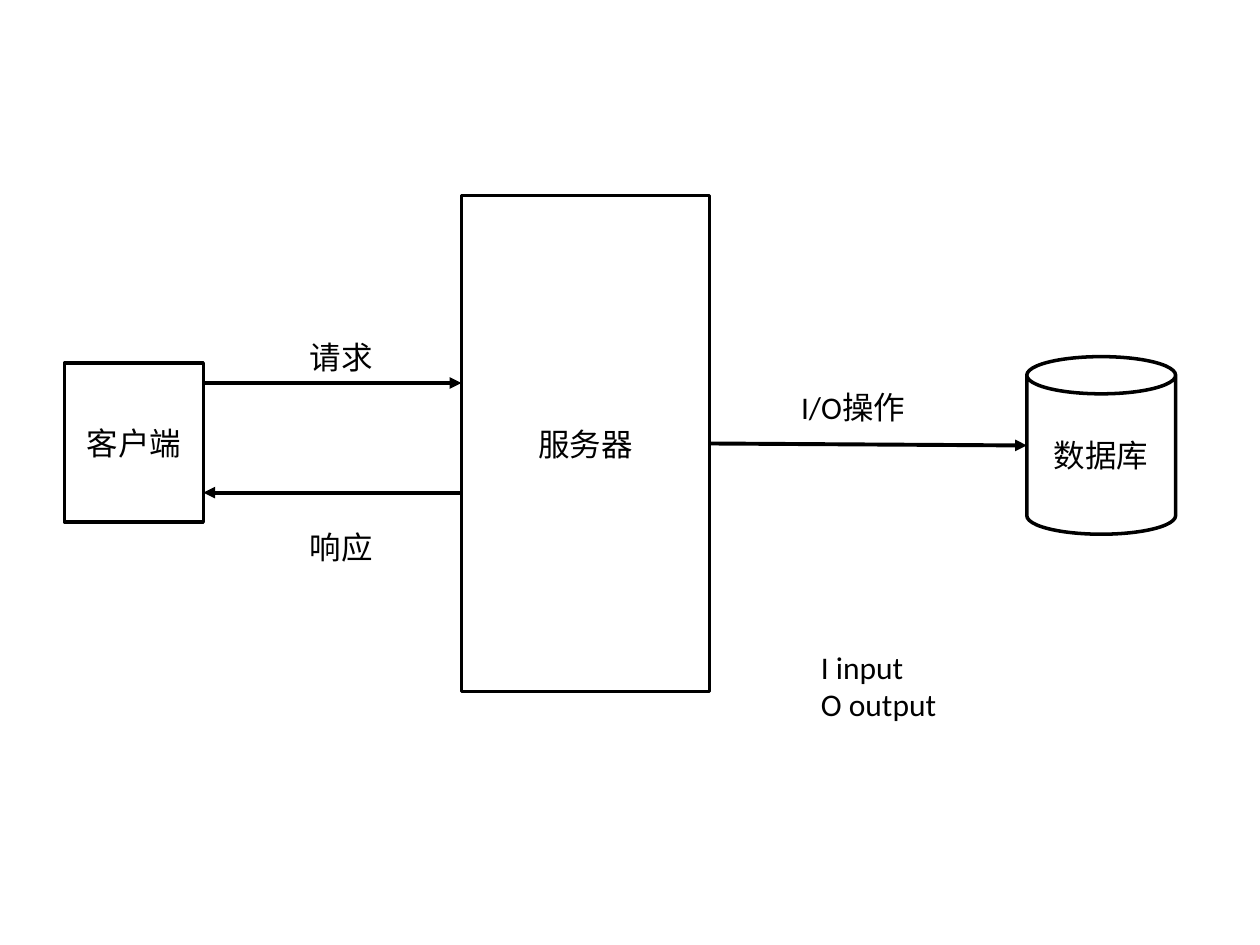
"""Build a slide showing a client, a server and a database exchanging data."""
from lxml import etree
from pptx import Presentation
from pptx.dml.color import RGBColor
from pptx.enum.shapes import MSO_CONNECTOR, MSO_SHAPE
from pptx.enum.text import MSO_ANCHOR, MSO_AUTO_SIZE, PP_ALIGN
from pptx.oxml.ns import qn
from pptx.util import Cm, Pt

RECTANGLE, CAN = MSO_SHAPE.RECTANGLE, MSO_SHAPE.CAN
STRAIGHT = MSO_CONNECTOR.STRAIGHT
CENTER, LEFT = PP_ALIGN.CENTER, PP_ALIGN.LEFT
MIDDLE, TOP = MSO_ANCHOR.MIDDLE, MSO_ANCHOR.TOP
FIT_SHAPE, NO_FIT = MSO_AUTO_SIZE.SHAPE_TO_FIT_TEXT, MSO_AUTO_SIZE.NONE
RIGHT_SIDE = 3

COLORS = {"ink": "000000"}
FONT_FORMAT = {"name": "Calibri", "size": Pt(18)}
NODE_FORMAT = {"word_wrap": True, "vertical_anchor": MIDDLE, "auto_size": NO_FIT}
LABEL_FORMAT = {"vertical_anchor": TOP, "auto_size": FIT_SHAPE}

NODES = {
    "client": ("客户端", RECTANGLE, (1.3, 7.32, 2.8, 3.2)),
    "server": ("服务器", RECTANGLE, (9.3, 3.94, 5, 10)),
    "database": ("数据库", CAN, (20.7, 7.19, 3, 3.58)),
}
LABELS = [
    (["请求"], (6, 6.68, 1.8, 1.02), False),
    (["响应"], (6, 10.52, 1.8, 1.02), False),
    (["I/O操作"], (15.9, 7.7, 3.4, 1.02), True),
    (["I input", "O output"], (16.3, 12.93, 6.4, 1.8), True),
]
REQUEST_TOP, RESPONSE_TOP = Cm(7.72), Cm(9.93)


def write_text(shape, lines, alignment, frame_format):
    frame = shape.text_frame
    for name, value in frame_format.items():
        setattr(frame, name, value)
    frame.text = "\n".join(lines)
    for paragraph in frame.paragraphs:
        paragraph.alignment = alignment
        font = paragraph.runs[0].font
        font.color.rgb = RGBColor.from_string(COLORS["ink"])
        for name, value in FONT_FORMAT.items():
            setattr(font, name, value)


def draw_line(shape, width):
    shape.line.color.rgb = RGBColor.from_string(COLORS["ink"])
    shape.line.width = Pt(width)


def add_node(slide, text, kind, box):
    shape = slide.shapes.add_shape(kind, *map(Cm, box))
    shape.shadow.inherit = False
    shape.fill.background()
    draw_line(shape, 2)
    write_text(shape, [text], CENTER, NODE_FORMAT)
    return shape


def add_arrow(slide, start, end):
    connector = slide.shapes.add_connector(STRAIGHT, *start, *end)
    draw_line(connector, 2.25)
    etree.SubElement(connector.line._get_or_add_ln(), qn("a:tailEnd"), type="triangle")
    etree.SubElement(connector._element.spPr, qn("a:effectLst"))
    return connector


def main():
    presentation = Presentation()
    presentation.slide_width, presentation.slide_height = Cm(25.4), Cm(19.05)
    slide = presentation.slides.add_slide(presentation.slide_layouts[6])

    nodes = {name: add_node(slide, *node) for name, node in NODES.items()}
    client, server, database = nodes["client"], nodes["server"], nodes["database"]
    client_right = client.left + client.width
    server_right = server.left + server.width
    server_middle = server.top + server.height // 2
    database_middle = database.top + database.height // 2

    add_arrow(slide, (client_right, REQUEST_TOP), (server.left, REQUEST_TOP))
    add_arrow(slide, (server.left, RESPONSE_TOP), (client_right, RESPONSE_TOP))
    operation = add_arrow(
        slide, (server_right, server_middle), (database.left, database_middle)
    )
    operation.begin_connect(server, RIGHT_SIDE)

    for lines, box, wraps in LABELS:
        label = slide.shapes.add_textbox(*map(Cm, box))
        write_text(label, lines, LEFT, {**LABEL_FORMAT, "word_wrap": wraps})

    presentation.save("out.pptx")


if __name__ == "__main__":
    main()
